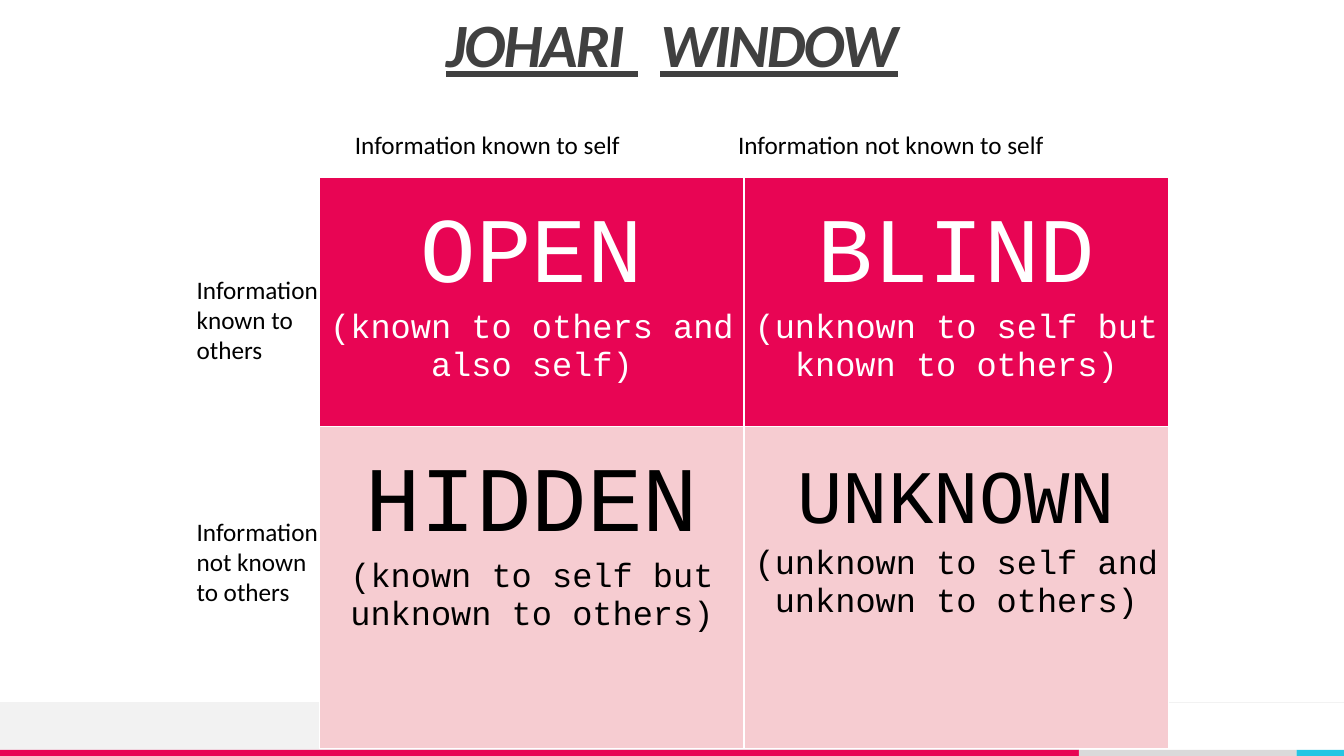
from lxml.etree import fromstring
from pptx import Presentation
from pptx.dml.color import RGBColor as RGB
from pptx.enum.shapes import MSO_CONNECTOR as Line, MSO_SHAPE as Shape
from pptx.enum.text import MSO_ANCHOR as Anchor, PP_ALIGN as Align
from pptx.oxml.ns import qn
from pptx.util import Inches, Pt

WHITE, BLACK = RGB(255, 255, 255), RGB(0, 0, 0)
DARK, PALE, GREY = RGB(0x40, 0x40, 0x40), RGB(0xF2, 0xF2, 0xF2), RGB(0xDA, 0xDA, 0xDA)
RED, PINK, CYAN = RGB(0xE8, 0x05, 0x54), RGB(0xF6, 0xCC, 0xD1), RGB(0x25, 0xC6, 0xE3)

# Each run of the title with its letter spacing; the gap between words is widened
TITLE = [("JOHARI", -1.5), (" ", 15.5), ("WINDOW", -1.5)]
# heading, heading size, note, top margin
PANES = [
    [("OPEN", 66, "(known to others and also self)", 0.28),
     ("BLIND", 66, "(unknown to self but known to others)", 0.28)],
    [("HIDDEN", 66, "(known to self but unknown to others)", 0.28),
     ("UNKNOWN", 54, "(unknown to self and unknown to others)", 0.34)],
]
TONES = [(RED, WHITE), (PINK, BLACK)]  # fill and text of each row
TOPS = [("Information known to self", 3.52), ("Information not known to self", 7.32)]
SIDES = [("Information known to others", 2.72), ("Information not known to others", 5.12)]

WIDE, HIGH = 13.33, 7.5
LEFT, TOP, COL, ROWS = 3.17, 1.76, 4.21, (2.47, 3.2)
BAND, STRIP = 6.97, 7.44
CUTS = [0, 10.7, 12.86, WIDE]
BORDER = ('<a:{} xmlns:a="http://schemas.openxmlformats.org/drawingml/2006/main" w="12700">'
          '<a:solidFill><a:srgbClr val="FFFFFF"/></a:solidFill></a:{}>')

deck = Presentation()
deck.slide_width, deck.slide_height = Inches(WIDE), Inches(HIGH)
slide = deck.slides.add_slide(deck.slide_layouts[6])
shapes = slide.shapes


def block(x, y, w, h, color):
    part = shapes.add_shape(Shape.RECTANGLE, *map(Inches, (x, y, w, h)))
    part.shadow.inherit = False
    part.fill.solid()
    part.fill.fore_color.rgb = color
    part.line.fill.background()


def box(x, y, w, h):
    """Add a wrapping text box without insets and return its frame."""
    frame = shapes.add_textbox(*map(Inches, (x, y, w, h))).text_frame
    frame.word_wrap = True
    frame.margin_left = frame.margin_right = frame.margin_top = frame.margin_bottom = 0
    return frame


def style(run, size, color, face="Calibri"):
    font = run.font
    font.name, font.size, font.color.rgb = face, Pt(size), color


def label(text, x, y, w, h):
    para = box(x, y, w, h).paragraphs[0]
    para.text = text
    style(para.runs[0], 18, BLACK)


def footer():
    block(0, BAND, CUTS[1], STRIP - BAND, PALE)
    for start, end, color in zip(CUTS, CUTS[1:], (RED, GREY, CYAN)):
        block(start, STRIP, end - start, HIGH - STRIP, color)
    rule = shapes.add_connector(Line.STRAIGHT, 0, Inches(BAND), Inches(WIDE), Inches(BAND))
    rule.line.color.rgb, rule.line.width = PALE, Pt(0.5)
    rule._element.spPr.append(rule._element.makeelement(qn("a:effectLst")))


def title():
    frame = box(0, 0.08, WIDE, 0.79)
    frame.vertical_anchor = Anchor.MIDDLE
    para = frame.paragraphs[0]
    para.alignment, para.line_spacing = Align.CENTER, 0.9
    for text, gap in TITLE:
        run = para.add_run()
        run.text = text
        style(run, 44, DARK)
        run.font.bold = run.font.italic = run.font.underline = True
        run._r.get_or_add_rPr().set("spc", str(round(gap * 100)))


def fill(cell, pane, tone):
    head, size, note, top = pane
    back, ink = tone
    cell.fill.solid()
    cell.fill.fore_color.rgb = back
    cell.margin_top = Inches(top)
    cell.text_frame.text = f"{head}\n{note}"
    for para, pts in zip(cell.text_frame.paragraphs, (size, 24)):
        para.alignment = Align.CENTER
        style(para.runs[0], pts, ink, "Courier New")
    for spot, side in enumerate(("lnL", "lnR", "lnT", "lnB")):
        cell._tc.get_or_add_tcPr().insert(spot, fromstring(BORDER.format(side, side)))


def window():
    size = (LEFT, TOP, 2 * COL, sum(ROWS))
    table = shapes.add_table(2, 2, *map(Inches, size)).table
    table.first_row = table.horz_banding = False
    for col in table.columns:
        col.width = Inches(COL)
    for r, high in enumerate(ROWS):
        table.rows[r].height = Inches(high)
        for c, pane in enumerate(PANES[r]):
            fill(table.cell(r, c), pane, TONES[r])


footer()
title()
window()
for text, x in TOPS:
    label(text, x, 1.28, 3.6, 0.31)
for text, y in SIDES:
    label(text, 1.95, y, 1.29, 0.92)
deck.save("out.pptx")
